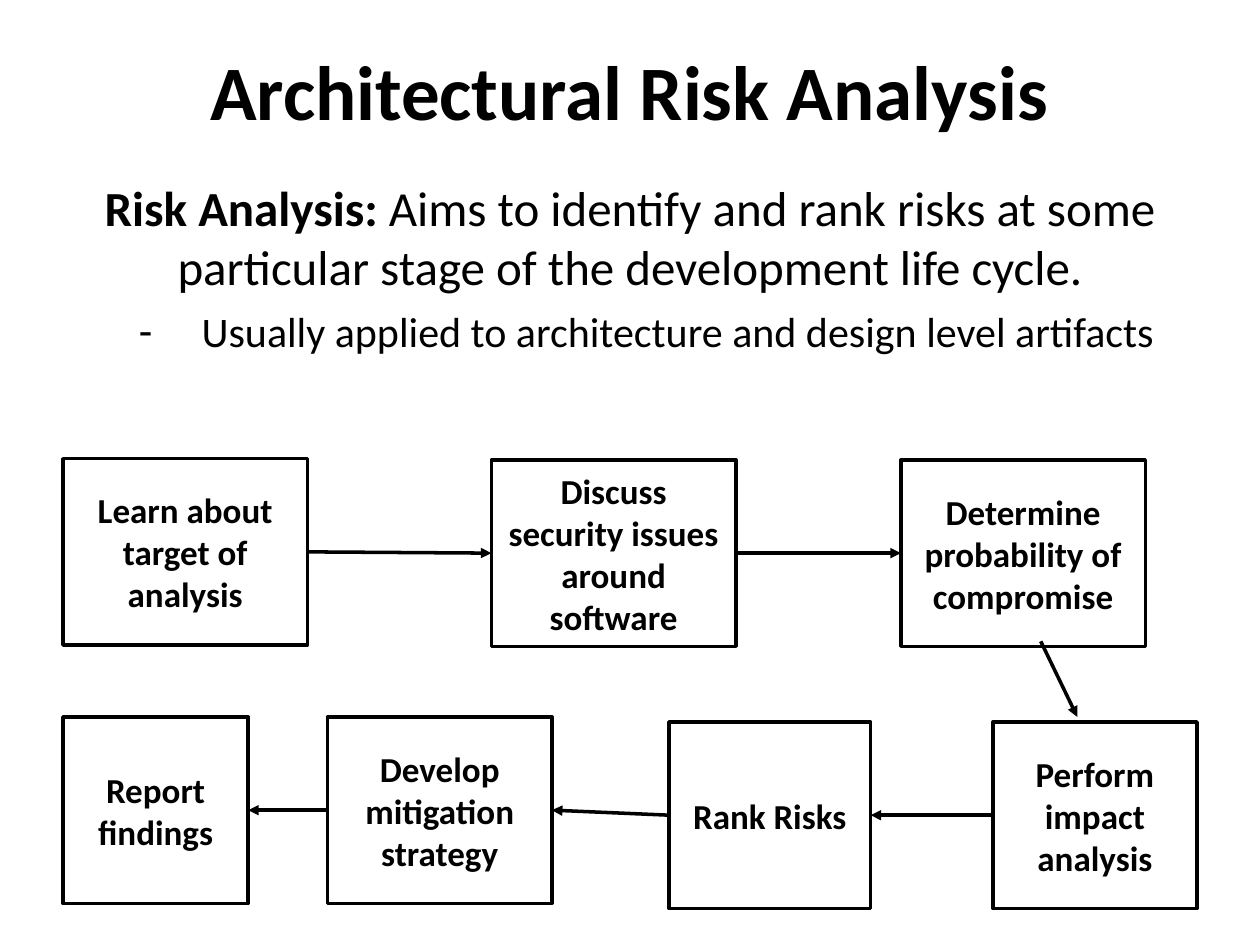
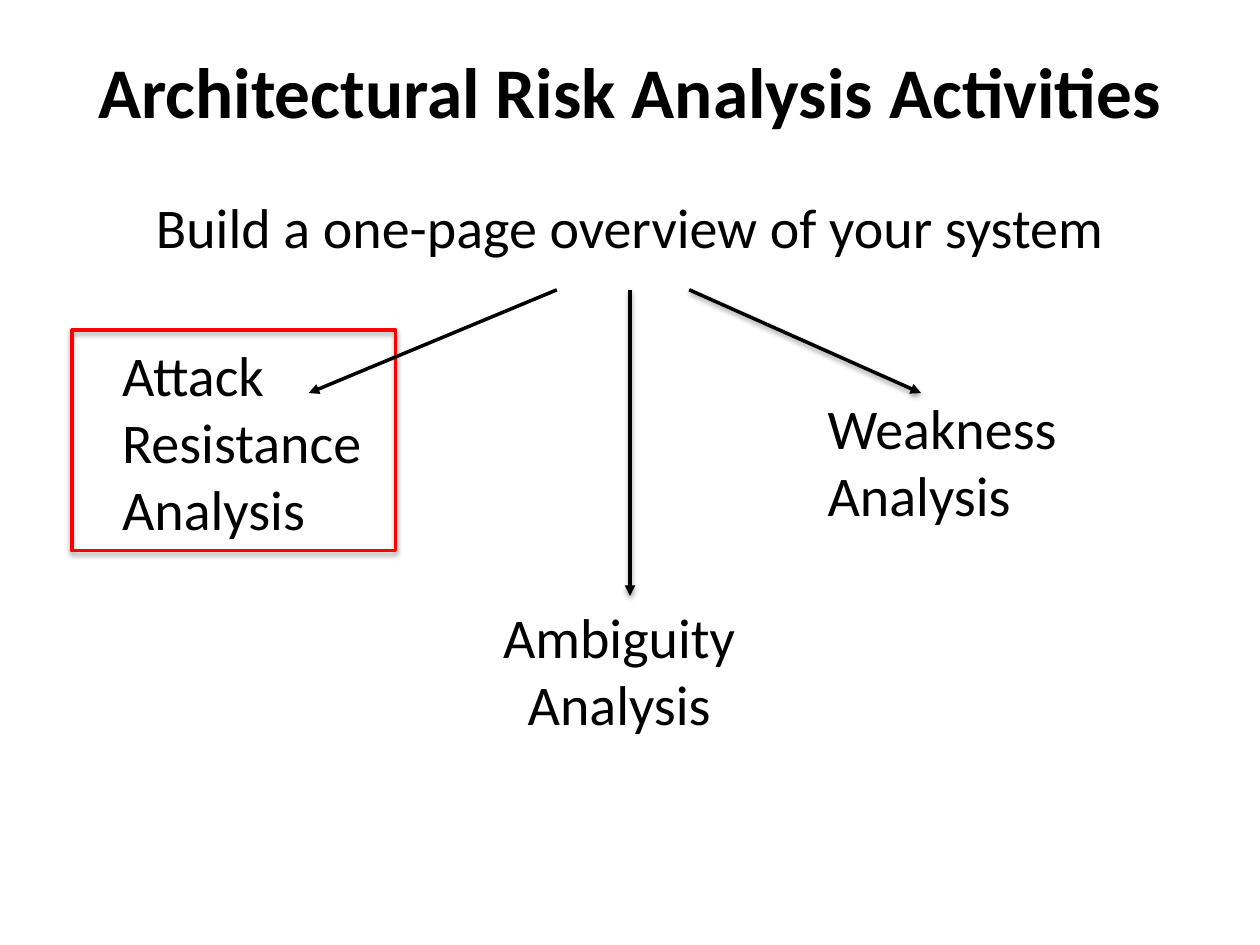
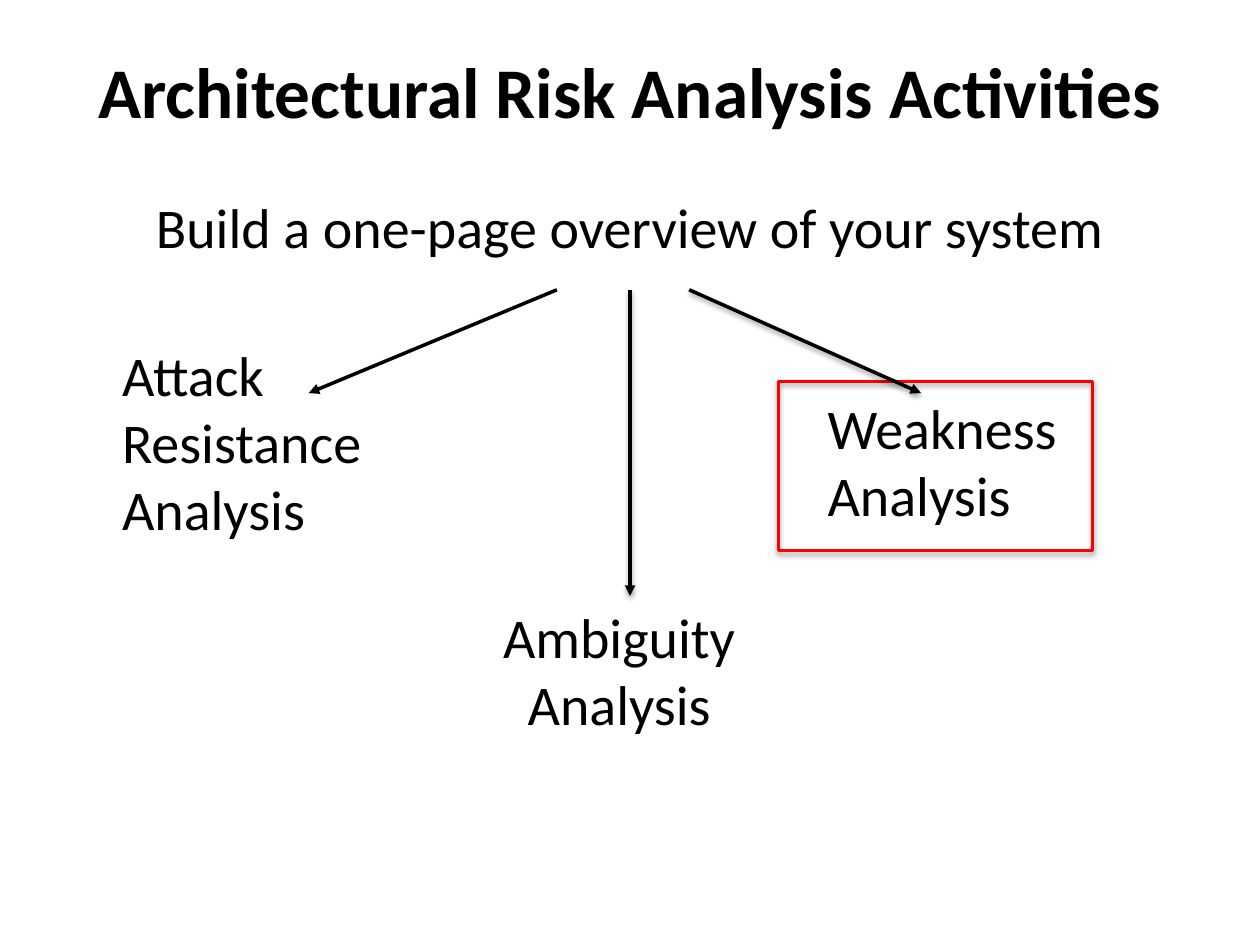
import lxml.etree
import pptx
import pptx.dml.color
import pptx.enum.shapes
import pptx.enum.text
import pptx.oxml.ns
import pptx.util

Inches = pptx.util.Inches
Pt = pptx.util.Pt
qn = pptx.oxml.ns.qn
RGBColor = pptx.dml.color.RGBColor
ALIGN = pptx.enum.text.PP_ALIGN
ANCHOR = pptx.enum.text.MSO_ANCHOR

BLACK = RGBColor(0x00, 0x00, 0x00)
RED = RGBColor(0xFF, 0x00, 0x00)
FONT_NAME = "Calibri"
LINE_WIDTH = Pt(2)
TOP, LEFT, BOTTOM, RIGHT = 0, 1, 2, 3

TITLE_BOX = (0.5, 0.09, 9, 1.25)
DEFINITION_BOX = (0.5, 1.36, 9, 2.02)
PROCESS_BOX = (0.5, 3.64, 9, 3.57)
ACTIVITIES_BOX = (0.32, 1.48, 9.36, 4.42)

FRAME_FORMAT = {
    "word_wrap": True,
    "auto_size": pptx.enum.text.MSO_AUTO_SIZE.NONE,
}
BOX_SHADOW = {"alpha": 35, "blur": 3.1, "distance": 1.8}
ARROW_SHADOW = {"alpha": 38, "blur": 3.1, "distance": 1.6}

PROCESS_STEPS = [
    ("Learn about target of analysis", 0, 0, 1.94),
    ("Discuss security issues around software", 3.4, 0.01, 1.94),
    ("Determine probability of compromise", 6.65, 0.01, 1.94),
    ("Perform impact analysis", 7.38, 2.09, 1.62),
    ("Rank Risks", 4.81, 2.09, 1.6),
    ("Develop mitigation strategy", 2.1, 2.05, 1.78),
    ("Report findings", 0, 2.05, 1.47),
]
STEP_HEIGHT = 1.48
FIRST_ROW_COUNT = 3
TURN_ARROW = ((7.76, 1.45), (8.05, 2.05))

ACTIVITIES = [
    ("Weakness\vAnalysis", (5.65, 1.59, 4.03, 1.72), ALIGN.LEFT),
    ("Attack\vResistance\vAnalysis", (0.05, 1.17, 3.81, 1.72), ALIGN.LEFT),
    ("Ambiguity\vAnalysis", (2.53, 3.25, 3.63, 1.17), ALIGN.CENTER),
]
ACTIVITY_ARROWS = [
    ((4.1, 0.82), (2.13, 1.64), None),
    ((4.68, 0.82), (4.68, 3.25), ARROW_SHADOW),
    ((5.15, 0.82), (6.99, 1.64), ARROW_SHADOW),
]
ATTACK_HIGHLIGHT = (0.25, 1.14, 2.57, 1.75)
WEAKNESS_HIGHLIGHT = (5.86, 1.55, 2.49, 1.34)


def apply_format(target, values):
    for name, value in values.items():
        setattr(target, name, value)


def format_font(font, size, bold=False):
    apply_format(font, {"name": FONT_NAME, "size": Pt(size), "bold": bold})
    font.color.rgb = BLACK


def inside(box, part):
    return (box[0] + part[0], box[1] + part[1], *part[2:])


def place(shape, box):
    names = ("left", "top", "width", "height")
    apply_format(shape, dict(zip(names, map(Inches, box))))


def set_indent(paragraph, left, hanging=0, bullet=None):
    properties = paragraph._p.get_or_add_pPr()
    properties.set("marL", str(Inches(left)))
    properties.set("indent", str(Inches(-hanging)))
    if bullet:
        lxml.etree.SubElement(properties, qn("a:buChar"), char=bullet)
    else:
        lxml.etree.SubElement(properties, qn("a:buNone"))


def set_shadow(shape, shadow=None):
    properties = shape._element.spPr
    effects = lxml.etree.SubElement(properties, qn("a:effectLst"))
    if shadow:
        outer = lxml.etree.SubElement(
            effects, qn("a:outerShdw"),
            blurRad=str(Pt(shadow["blur"])), dist=str(Pt(shadow["distance"])),
            dir="5400000", rotWithShape="0")
        color = lxml.etree.SubElement(outer, qn("a:srgbClr"), val=str(BLACK))
        lxml.etree.SubElement(color, qn("a:alpha"), val=str(shadow["alpha"] * 1000))


def set_line(shape, color):
    shape.line.color.rgb = color
    shape.line.width = LINE_WIDTH


def add_outline(slide, box, color, shadow=None):
    shape = slide.shapes.add_shape(
        pptx.enum.shapes.MSO_SHAPE.RECTANGLE, *map(Inches, box))
    shape.fill.background()
    set_line(shape, color)
    set_shadow(shape, shadow)
    return shape


def add_arrow(slide, start=(0, 0), end=(0, 0), shadow=None):
    arrow = slide.shapes.add_connector(
        pptx.enum.shapes.MSO_CONNECTOR.STRAIGHT, *map(Inches, (*start, *end)))
    set_line(arrow, BLACK)
    line = arrow._element.spPr.find(qn("a:ln"))
    lxml.etree.SubElement(line, qn("a:tailEnd"), type="triangle")
    set_shadow(arrow, shadow)
    return arrow


def add_titled_slide(presentation, title, size):
    slide = presentation.slides.add_slide(presentation.slide_layouts[1])
    shape = slide.shapes.title
    place(shape, TITLE_BOX)
    apply_format(shape.text_frame, {**FRAME_FORMAT, "vertical_anchor": ANCHOR.MIDDLE})
    shape.text_frame.text = title
    paragraph = shape.text_frame.paragraphs[0]
    paragraph.alignment = ALIGN.CENTER
    format_font(paragraph.runs[0].font, size, bold=True)
    return slide


def fill_body(slide, box, runs, size):
    body = slide.placeholders[1]
    place(body, box)
    apply_format(body.text_frame, FRAME_FORMAT)
    paragraph = body.text_frame.paragraphs[0]
    set_indent(paragraph, 0)
    apply_format(paragraph, {"alignment": ALIGN.CENTER, "space_before": Pt(0)})
    for text, bold in runs:
        run = paragraph.add_run()
        run.text = text
        format_font(run.font, size, bold)
    return body.text_frame


def draw_definition(slide, box):
    frame = fill_body(slide, box, [
        ("Risk Analysis:", True),
        (" Aims to identify and rank risks at some particular stage "
         "of the development life cycle.", False),
    ], 28)
    paragraph = frame.add_paragraph()
    set_indent(paragraph, 1, 0.5, "-")
    apply_format(paragraph, {"level": 1, "space_before": Pt(6)})
    run = paragraph.add_run()
    run.text = "Usually applied to architecture and design level artifacts"
    format_font(run.font, 24)


def draw_step(slide, box, text):
    shape = add_outline(slide, box, BLACK)
    apply_format(shape.text_frame, {**FRAME_FORMAT, "vertical_anchor": ANCHOR.MIDDLE})
    shape.text_frame.text = text
    paragraph = shape.text_frame.paragraphs[0]
    paragraph.alignment = ALIGN.CENTER
    format_font(paragraph.runs[0].font, 20, bold=True)
    return shape


def draw_process(slide, box):
    steps = [draw_step(slide, inside(box, (left, top, width, STEP_HEIGHT)), text)
             for text, left, top, width in PROCESS_STEPS]
    for index, (step, following) in enumerate(zip(steps, steps[1:]), start=1):
        if index == FIRST_ROW_COUNT:
            add_arrow(slide, *(inside(box, point) for point in TURN_ARROW))
            continue
        sides = (RIGHT, LEFT) if index < FIRST_ROW_COUNT else (LEFT, RIGHT)
        arrow = add_arrow(slide)
        arrow.begin_connect(step, sides[0])
        arrow.end_connect(following, sides[1])


def draw_activity(slide, box, text, alignment):
    label = slide.shapes.add_textbox(*map(Inches, box))
    apply_format(label.text_frame, FRAME_FORMAT)
    label.text_frame.text = text
    paragraph = label.text_frame.paragraphs[0]
    set_indent(paragraph, 0.5)
    apply_format(paragraph, {"level": 1, "alignment": alignment})
    for run in paragraph.runs:
        format_font(run.font, 32)


def draw_activities(slide, box, highlight):
    add_outline(slide, inside(box, highlight), RED, BOX_SHADOW)
    fill_body(slide, inside(box, (0, 0, box[2], 1.11)),
              [("Build a one-page overview of your system", False)], 32)
    for start, end, shadow in ACTIVITY_ARROWS:
        add_arrow(slide, inside(box, start), inside(box, end), shadow)
    for text, part, alignment in ACTIVITIES:
        draw_activity(slide, inside(box, part), text, alignment)


def main():
    presentation = pptx.Presentation()
    presentation.slide_width = Inches(10)
    presentation.slide_height = Inches(7.5)

    slide = add_titled_slide(presentation, "Architectural Risk Analysis", 44)
    draw_definition(slide, DEFINITION_BOX)
    draw_process(slide, PROCESS_BOX)

    for highlight in (ATTACK_HIGHLIGHT, WEAKNESS_HIGHLIGHT):
        slide = add_titled_slide(
            presentation, "Architectural Risk Analysis Activities", 40.7)
        draw_activities(slide, ACTIVITIES_BOX, highlight)

    presentation.save("out.pptx")


if __name__ == "__main__":
    main()
